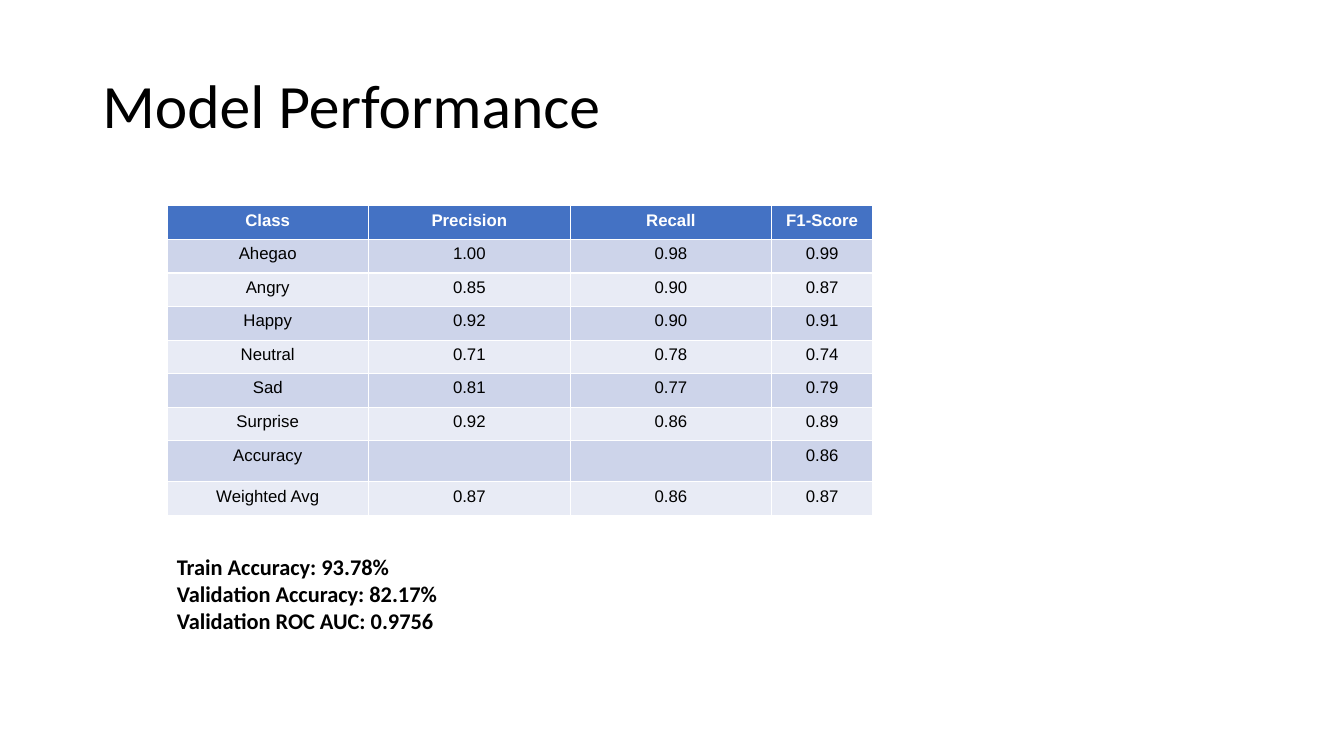
from pptx import Presentation
from pptx.dml.color import RGBColor
from pptx.enum.text import MSO_ANCHOR as Anchor, MSO_AUTO_SIZE as AutoSize, PP_ALIGN as Align
from pptx.util import Emu, Pt

EMU_PER_PX = 9525  # 96 px to the inch

BLACK = RGBColor(0x00, 0x00, 0x00)
WHITE = RGBColor(0xFF, 0xFF, 0xFF)
HEADER_BLUE = RGBColor(0x44, 0x72, 0xC4)
BAND_DARK = RGBColor(0xCD, 0xD4, 0xEA)
BAND_LIGHT = RGBColor(0xE8, 0xEB, 0xF5)

SCORES = [
    ("Class", "Precision", "Recall", "F1-Score"),
    ("Ahegao", "1.00", "0.98", "0.99"),
    ("Angry", "0.85", "0.90", "0.87"),
    ("Happy", "0.92", "0.90", "0.91"),
    ("Neutral", "0.71", "0.78", "0.74"),
    ("Sad", "0.81", "0.77", "0.79"),
    ("Surprise", "0.92", "0.86", "0.89"),
    ("Accuracy", "", "", "0.86"),
    ("Weighted Avg", "0.87", "0.86", "0.87"),
]
SUMMARY = "Train Accuracy: 93.78%\nValidation Accuracy: 82.17%\nValidation ROC AUC: 0.9756"


def px(length):
    return Emu(length * EMU_PER_PX)


class SlideBuilder:
    text_font = "Calibri"
    table_font = "Arial"

    def __init__(self, slide):
        self.slide = slide

    def style(self, paragraph, name, size, color, bold=False):
        font = paragraph.font
        font.name, font.size, font.bold = name, Pt(size), bold
        font.color.rgb = color

    def text(self, box, content, size, bold=False, anchor=Anchor.TOP,
             spacing=1.0, auto_size=AutoSize.NONE):
        frame = self.slide.shapes.add_textbox(*map(px, box)).text_frame
        frame.word_wrap = True
        frame.auto_size = auto_size
        frame.vertical_anchor = anchor
        paragraph = frame.paragraphs[0]
        paragraph.text = content  # each newline becomes a line break
        paragraph.line_spacing = spacing
        self.style(paragraph, self.text_font, size, BLACK, bold)

    def table(self, left, top, widths, row_height, rows):
        # The default table style supplies the white cell borders
        table = self.slide.shapes.add_table(
            len(rows), len(widths), px(left), px(top),
            px(sum(widths)), px(row_height * len(rows))).table
        for column, width in zip(table.columns, widths):
            column.width = px(width)
        for r, row in enumerate(rows):
            table.rows[r].height = px(row_height)
            header = r == 0
            fill = HEADER_BLUE if header else BAND_DARK if r % 2 else BAND_LIGHT
            for c, value in enumerate(row):
                cell = table.cell(r, c)
                cell.fill.solid()
                cell.fill.fore_color.rgb = fill
                if value:
                    paragraph = cell.text_frame.paragraphs[0]
                    paragraph.text = value
                    paragraph.alignment = Align.CENTER
                    self.style(paragraph, self.table_font, 12,
                               WHITE if header else BLACK, header)


def main():
    deck = Presentation()
    deck.slide_width, deck.slide_height = px(1280), px(720)
    builder = SlideBuilder(deck.slides.add_slide(deck.slide_layouts[6]))

    # Title
    builder.text((88, 34, 1104, 139), "Model Performance", 44,
                 anchor=Anchor.MIDDLE, spacing=0.9)

    # Scores per class
    builder.table(159, 196, (192, 192, 192, 96), 32, SCORES)

    # Overall accuracy
    builder.text((159, 522, 271, 88), SUMMARY, 16, bold=True,
                 auto_size=AutoSize.SHAPE_TO_FIT_TEXT)

    deck.save("out.pptx")


if __name__ == "__main__":
    main()
